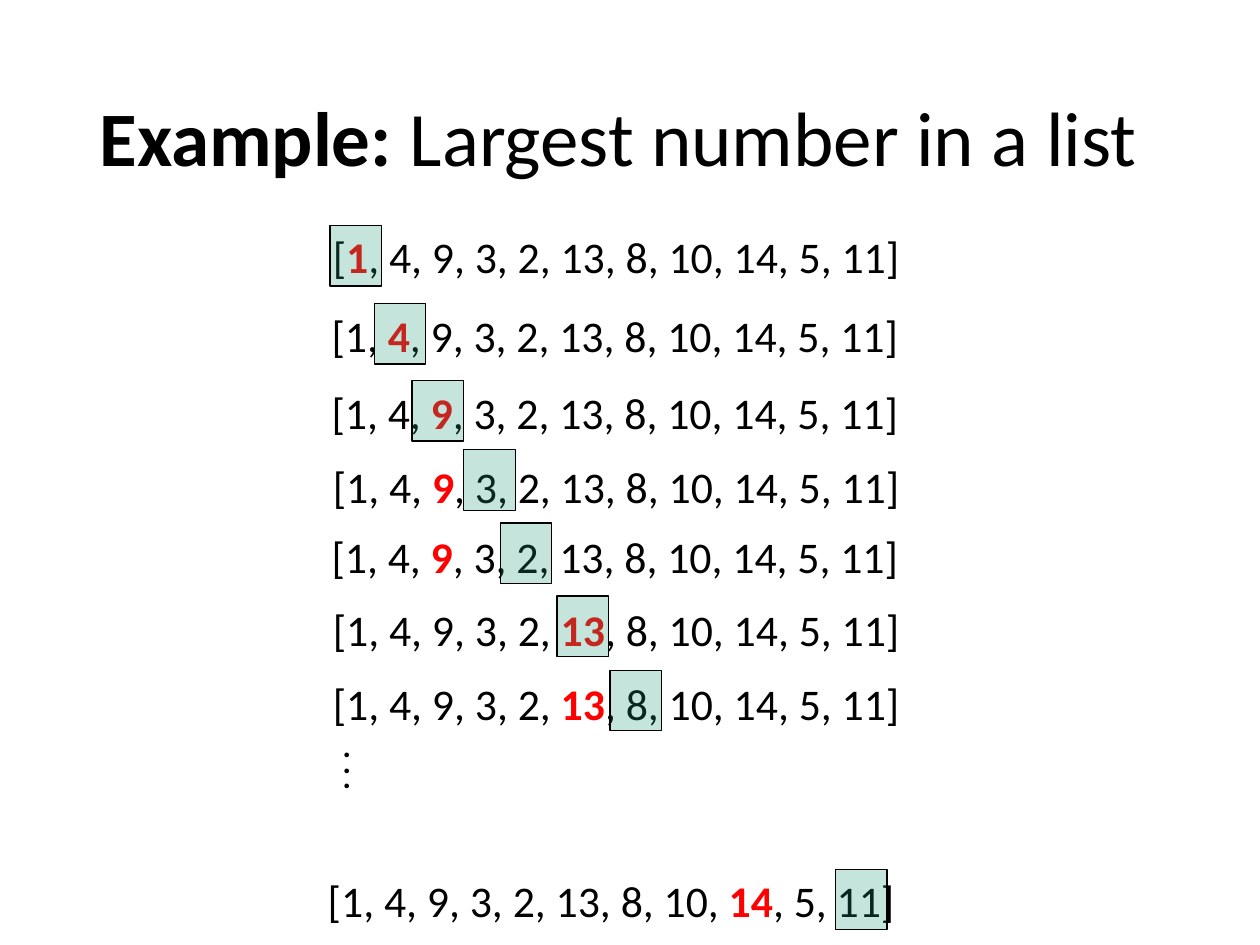
from dataclasses import dataclass

from lxml.etree import SubElement
from pptx import Presentation
from pptx.dml.color import RGBColor as RGB
from pptx.enum.shapes import MSO_SHAPE as Shape
from pptx.enum.text import MSO_ANCHOR as Anchor, MSO_AUTO_SIZE as Fit, PP_ALIGN as Align
from pptx.oxml.ns import qn
from pptx.util import Inches, Pt


@dataclass(frozen=True)
class Theme:
    face: str = "Calibri"
    ink: RGB = RGB(0, 0, 0)
    best: RGB = RGB(0xFF, 0, 0)
    mark: RGB = RGB(0x1D, 0x9A, 0x78)
    alpha: int = 26000
    title: Pt = Pt(44)
    body: Pt = Pt(25)
    dot: Pt = Pt(18)


THEME = Theme()
NUMS = [1, 4, 9, 3, 2, 13, 8, 10, 14, 5, 11]

# Each step: largest so far, list left and top, marker left and top
STEPS = [
    (1, 2.24, 1.74, 2.62, 1.79),
    (4, 2.23, 2.37, 2.97, 2.41),
    (9, 2.23, 2.98, 3.27, 3.02),
    (9, 2.24, 3.57, 3.68, 3.57),
    (9, 2.23, 4.12, 3.97, 4.15),
    (13, 2.24, 4.7, 4.42, 4.73),
    (13, 2.24, 5.29, 4.84, 5.32),
    (14, 2.2, 6.85, 6.63, 6.9),
]


def style(font, size):
    font.name, font.size = THEME.face, size
    font.color.rgb = THEME.ink


def add_run(para, text, bold=False):
    run = para.add_run()
    run.text = text
    run.font.bold = bold
    return run


def add_title(slide):
    title = slide.shapes.title
    title.left, title.top = Inches(0.69), Inches(0.4)
    title.width, title.height = Inches(8.62), Inches(1.45)
    frame = title.text_frame
    frame.auto_size = Fit.NONE
    frame.vertical_anchor = Anchor.MIDDLE
    para = frame.paragraphs[0]
    para.alignment, para.line_spacing = Align.LEFT, 0.9
    style(para.font, THEME.title)
    add_run(para, "Example: ", True)
    add_run(para, "Largest number in a list")


def add_box(slide, left, top, width, height):
    box = slide.shapes.add_textbox(
        Inches(left), Inches(top), Inches(width), Inches(height))
    box.text_frame.word_wrap = True
    return box.text_frame


def add_list(slide, best, left, top):
    frame = add_box(slide, left, top, 5.3, 0.58)
    frame.vertical_anchor = Anchor.MIDDLE
    para = frame.paragraphs[0]
    para.alignment = Align.CENTER
    style(para.font, THEME.body)
    spot = NUMS.index(best)
    add_run(para, "[" + "".join(f"{num}, " for num in NUMS[:spot]))
    add_run(para, str(best), True).font.color.rgb = THEME.best
    add_run(para, "".join(f", {num}" for num in NUMS[spot + 1:]) + "]")


def add_mark(slide, left, top):
    mark = slide.shapes.add_shape(
        Shape.RECTANGLE, Inches(left), Inches(top), Inches(0.41), Inches(0.48))
    mark.shadow.inherit = False
    mark.fill.solid()
    mark.fill.fore_color.rgb = THEME.mark
    mark.line.color.rgb = THEME.ink
    mark.line.width = Pt(0.75)
    # Let the number show through the marker
    tint = mark.fill._xPr.find(qn("a:solidFill"))[0]
    SubElement(tint, qn("a:alpha")).set("val", str(THEME.alpha))


def add_dots(slide):
    frame = add_box(slide, 2.62, 5.87, 1.18, 0.61)
    frame.text = "\n".join("...")
    for para in frame.paragraphs:
        para.line_spacing = 0.4
        style(para.font, THEME.dot)
        para.font.bold = True


def main():
    deck = Presentation()
    deck.slide_width, deck.slide_height = Inches(10), Inches(7.5)
    slide = deck.slides.add_slide(deck.slide_layouts[5])
    add_title(slide)

    # One list and marker per step of the scan
    for best, left, top, mark_left, mark_top in STEPS:
        add_list(slide, best, left, top)
        add_mark(slide, mark_left, mark_top)

    # Steps left out before the last one
    add_dots(slide)
    deck.save("out.pptx")


if __name__ == "__main__":
    main()
